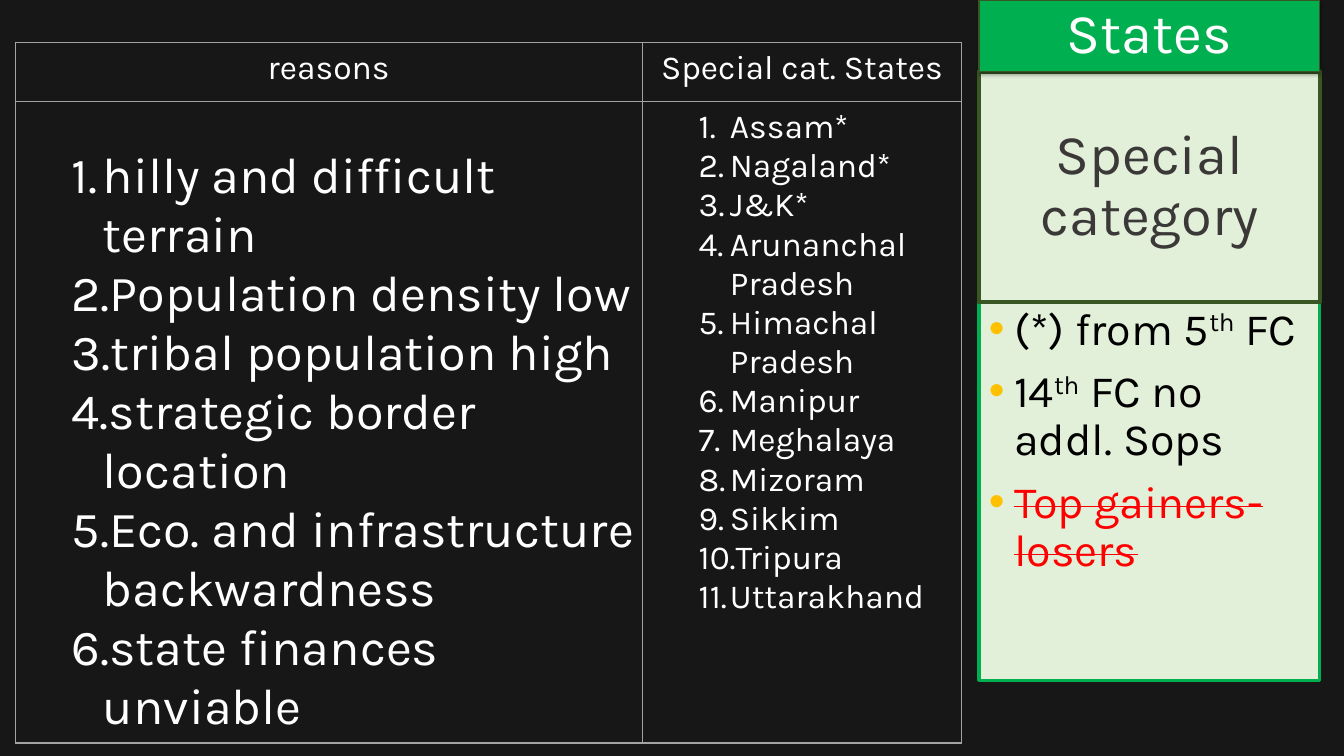
from lxml import etree
from pptx import Presentation
from pptx.dml.color import RGBColor
from pptx.enum.shapes import MSO_SHAPE
from pptx.enum.text import MSO_ANCHOR, PP_ALIGN
from pptx.oxml import parse_xml
from pptx.oxml.ns import nsdecls, qn
from pptx.util import Inches, Pt

RECTANGLE = MSO_SHAPE.RECTANGLE
TOP, MIDDLE = MSO_ANCHOR.TOP, MSO_ANCHOR.MIDDLE
LEFT, CENTER = PP_ALIGN.LEFT, PP_ALIGN.CENTER

FONT = "Karla"
WHITE, BLACK, RED = "FFFFFF", "000000", "FF0000"
GREEN, DARK_GREEN, PALE_GREEN = "00B050", "385723", "E2F0D9"
PANEL_LEFT, PANEL_WIDTH = 9.71, 3.38

REASONS = [
    "hilly and difficult terrain",
    "Population density low",
    "tribal population high",
    "strategic border location",
    "Eco. and infrastructure backwardness",
    "state finances unviable",
]
SPECIAL_STATES = [
    "Assam*", "Nagaland*", "J&K*", "Arunanchal Pradesh", "Himachal Pradesh",
    "Manipur", "Meghalaya", "Mizoram", "Sikkim", "Tripura", "Uttarakhand",
]
NOTES = [
    (BLACK, [("(*) from 5", {}), ("th", {"baseline": "30000"}), (" FC", {})]),
    (BLACK, [("14", {}), ("th", {"baseline": "30000"}), (" FC no addl. Sops", {})]),
    (RED, [("Top gainers- losers", {"strike": "sngStrike"})]),
]


def rgb(color):
    """Turn a hex string into a colour."""
    return RGBColor.from_string(color)


def style(paragraph, size, color, align=LEFT):
    """Set the font and alignment of a paragraph."""
    paragraph.alignment = align
    paragraph.font.name = FONT
    paragraph.font.size = Pt(size)
    paragraph.font.color.rgb = rgb(color)


def add_marker(paragraph, indent, hanging, *markers):
    """Give a paragraph a hanging indent and its bullet elements."""
    properties = paragraph._p.get_or_add_pPr()
    properties.set("marL", str(Inches(indent)))
    properties.set("indent", str(-Inches(hanging)))
    for marker in markers:
        properties.append(parse_xml(marker))


def paragraphs_for(frame, items):
    """Yield a paragraph of the frame with each item."""
    for index, item in enumerate(items):
        yield (frame.add_paragraph() if index else frame.paragraphs[0]), item


def add_panel(slide, top, height, fill, line, line_width, anchor=TOP):
    """Add one box of the right-hand column."""
    panel = slide.shapes.add_shape(
        RECTANGLE, Inches(PANEL_LEFT), Inches(top), Inches(PANEL_WIDTH), Inches(height))
    panel.shadow.inherit = False
    panel.fill.solid()
    panel.fill.fore_color.rgb = rgb(fill)
    panel.line.color.rgb = rgb(line)
    panel.line.width = Pt(line_width)
    panel.text_frame.word_wrap = True
    panel.text_frame.vertical_anchor = anchor
    return panel


def write_heading(panel, text, color):
    """Write a centred heading in a panel."""
    heading = panel.text_frame.paragraphs[0]
    heading.text = text
    heading.line_spacing = 0.9
    style(heading, 40, color, CENTER)


def add_soft_shadow(panel):
    """Cast a soft shadow straight down from a panel."""
    effects = panel._element.spPr.find(qn("a:effectLst"))
    effects.append(parse_xml(
        f'<a:outerShdw {nsdecls("a")} blurRad="{Pt(3.1)}" dist="{Pt(1.8)}" dir="5400000" '
        f'rotWithShape="0"><a:srgbClr val="{BLACK}"><a:alpha val="35000"/></a:srgbClr>'
        '</a:outerShdw>'))


def write_notes(panel):
    """Write the bulleted notes in a panel."""
    for note, (color, pieces) in paragraphs_for(panel.text_frame, NOTES):
        add_marker(
            note, 0.25, 0.25,
            f'<a:buClr {nsdecls("a")}><a:srgbClr val="FFC000"/></a:buClr>',
            f'<a:buFont {nsdecls("a")} typeface="Arial"/>',
            f'<a:buChar {nsdecls("a")} char="•"/>')
        note.line_spacing = 0.9
        if note is not None and color and pieces is not NOTES[0][1]:
            note.space_before = Pt(10)
        style(note, 32, color)
        for text, attributes in pieces:
            run = note.add_run()
            run.text = text
            for name, value in attributes.items():
                run._r.get_or_add_rPr().set(name, value)


def format_cell(cell):
    """Clear the fill of a cell and draw its margins and borders."""
    cell.margin_left = cell.margin_right = Inches(0.06)
    cell.margin_top = cell.margin_bottom = Inches(0.06)
    properties = cell._tc.get_or_add_tcPr()
    for side in ("lnL", "lnR", "lnT", "lnB"):
        border = etree.SubElement(properties, qn(f"a:{side}"), w=str(Pt(1)))
        fill = etree.SubElement(border, qn("a:solidFill"))
        etree.SubElement(fill, qn("a:srgbClr"), val="A3A3A3")
    cell.fill.background()


def write_numbered(cell, items, size):
    """Write a numbered list in a cell."""
    for entry, text in paragraphs_for(cell.text_frame, items):
        entry.text = text
        entry.level = 1
        add_marker(
            entry, 0.81, 0.31,
            f'<a:buFont {nsdecls("a")} typeface="+mj-lt"/>',
            f'<a:buAutoNum {nsdecls("a")} type="arabicPeriod"/>')
        style(entry, size, WHITE)


def add_states_table(slide):
    """Add the table of reasons and special category states."""
    table = slide.shapes.add_table(
        2, 2, Inches(0.15), Inches(0.42), Inches(9.39), Inches(6.33)).table
    table.first_row = table.horz_banding = False
    for column, width in zip(table.columns, (6.22, 3.17)):
        column.width = Inches(width)
    for row, height in zip(table.rows, (0.59, 5.74)):
        row.height = Inches(height)
    for cell in table.iter_cells():
        format_cell(cell)
    for index, title in enumerate(("reasons", "Special cat. States")):
        header = table.cell(0, index).text_frame.paragraphs[0]
        header.text = title
        style(header, 24, WHITE, CENTER)
    reasons = table.cell(1, 0)
    reasons.margin_top = Inches(0.45)
    write_numbered(reasons, REASONS, 36)
    write_numbered(table.cell(1, 1), SPECIAL_STATES, 24)


def main():
    """Build the slide and save it."""
    deck = Presentation()
    deck.slide_width, deck.slide_height = Inches(13.33), Inches(7.5)
    slide = deck.slides.add_slide(deck.slide_layouts[6])
    slide.background.fill.solid()
    slide.background.fill.fore_color.rgb = rgb("181717")

    write_notes(add_panel(slide, 2.99, 3.76, PALE_GREEN, GREEN, 2.25))
    add_states_table(slide)
    category = add_panel(slide, 0.71, 2.29, PALE_GREEN, DARK_GREEN, 3, MIDDLE)
    write_heading(category, "Special category", "3B3838")
    states = add_panel(slide, 0, 0.71, GREEN, DARK_GREEN, 0.75)
    add_soft_shadow(states)
    write_heading(states, "States", WHITE)

    deck.save("out.pptx")


if __name__ == "__main__":
    main()
